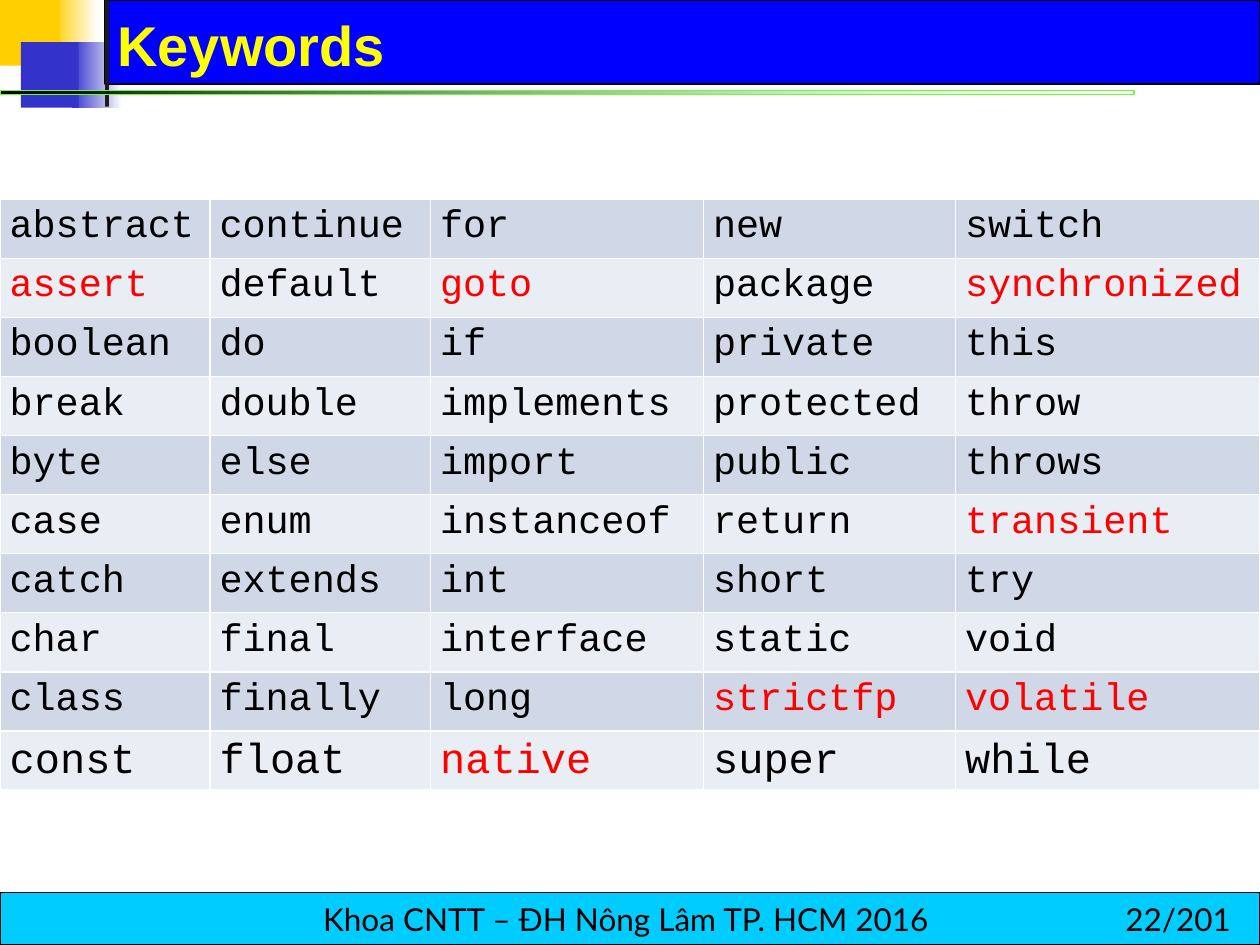
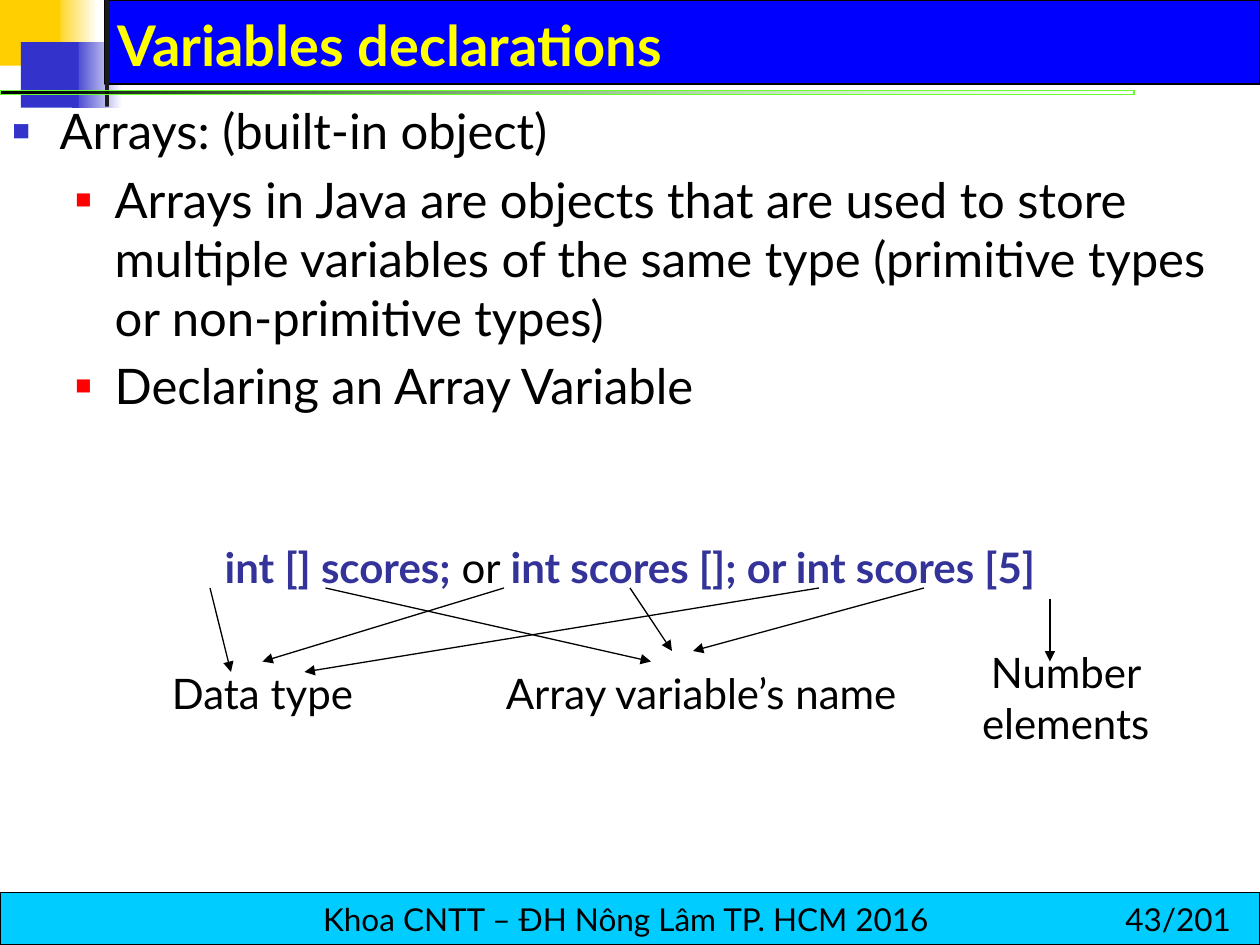
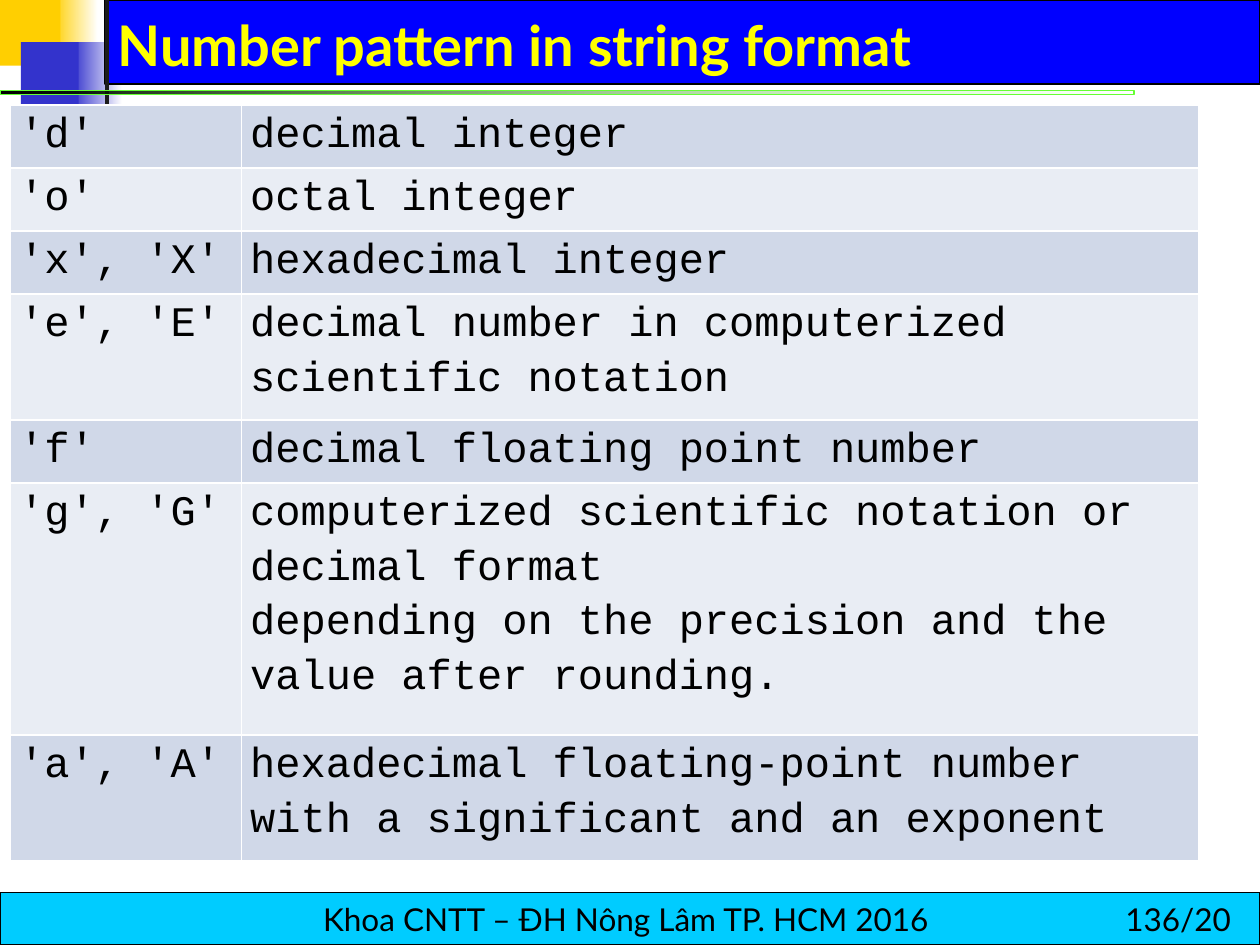
from lxml import etree
from pptx import Presentation
from pptx import util as u
from pptx.dml.color import RGBColor
from pptx.enum import shapes, text
from pptx.oxml import ns

Pt = u.Pt


class Theme:
    black, white, red = "000000", "FFFFFF", "FF0000"
    gold, indigo, dark, green = "FFCF01", "3333CC", "1C1C1C", "66FF33"
    band, title, footer, code = "0000FF", "FFFF00", "00CCFF", "333399"
    rows = ("D0D8E8", "E9EDF4")
    sans, heading, mono = "Lato", "Arial", "Courier New"
    title_size, body_size, label_size, footer_size = 32, 28, 24, 18
    mono_size, mono_small = 24, 22
    thin, border = 0.75, 1


# ---- Content ----
FOOTER = "Khoa CNTT – ĐH Nông Lâm TP. HCM 2016 "
TOTAL = 201

KEYWORDS = [
    "abstract continue for new switch",
    "assert default goto package synchronized",
    "boolean do if private this",
    "break double implements protected throw",
    "byte else import public throws",
    "case enum instanceof return transient",
    "catch extends int short try",
    "char final interface static void",
    "class finally long strictfp volatile",
    "const float native super while",
]
RED_KEYWORDS = {"assert", "goto", "synchronized", "transient", "strictfp",
                "volatile", "native"}

BULLETS = [
    (0, "Arrays: (built-in object)"),
    (1, "Arrays in Java are objects that are used to store multiple variables "
        "of the same type (primitive types or non-primitive types)"),
    (1, "Declaring an Array Variable"),
]
# level: left margin, hanging indent, bullet colour, bullet size in percent
LEVELS = [(27, 27, Theme.indigo, 60), (58.5, 22.5, Theme.red, 55)]

DECLARATION = [
    ("int [] scores;", Theme.code, True),
    (" or ", Theme.black, False),
    ("int scores []; or int scores [5]", Theme.code, True),
]
LABELS = [
    ("Data type", (66, 378, 168, 36), "CENTER"),
    ("Array variable’s name", (282, 378, 252, 36), "LEFT"),
    ("Number elements", (522, 366, 174, 65), "CENTER"),
]
# start x, start y, end x, end y
ARROWS = [
    (120, 336, 132, 384), (288, 336, 150, 378), (186, 336, 372, 378),
    (468, 336, 174, 384), (360, 336, 384, 372), (528, 336, 396, 372),
    (600, 342, 600, 378),
]
JOINED = 1  # this arrow ends at the top middle of "Data type"

PATTERNS = [
    ("'d'", "decimal integer", 36),
    ("'o'", "octal integer", 36),
    ("'x', 'X'", "hexadecimal integer", 36),
    ("'e', 'E'", "decimal number in computerized scientific notation", 72),
    ("'f'", "decimal floating point number", 36),
    ("'g', 'G'", "computerized scientific notation or decimal format\n"
                 "depending on the precision and the value after rounding.", 144),
    ("'a', 'A'", "hexadecimal floating-point number with a significant "
                 "and an exponent", 72),
]

# Decoration: box, fill (a pair is a gradient), outline
DECOR = [
    ((30, 0, 26, 37.5), (Theme.gold, Theme.white), None),
    ((41, 24, 29, 37.5), (Theme.indigo, Theme.white), None),
    ((60, 0, 660, 48), Theme.band, (Theme.black, Theme.thin)),
    ((0, 0, 34.5, 37.5), Theme.gold, None),
    ((12, 24, 33, 37.5), Theme.indigo, None),
    ((60, 0, 2.25, 61), Theme.dark, None),
    ((0, 51.75, 648, 2.25), (Theme.black, Theme.green), (Theme.green, 0)),
    ((0, 510, 720, 30), Theme.footer, (Theme.black, Theme.thin)),
]


# ---- Helpers ----
def assign(obj, **values):
    for name, value in values.items():
        setattr(obj, name, value)


def rgb(color):
    return RGBColor.from_string(color)


def child(parent, tag, **attrs):
    e = etree.SubElement(parent, ns.qn("a:" + tag))
    for name, value in attrs.items():
        e.set(name, str(value))
    return e


def add_run(p, string, size, color=Theme.black, font=Theme.sans, bold=False):
    r = p.add_run()
    r.text = string
    assign(r.font, size=Pt(size), name=font, bold=bold)
    r.font.color.rgb = rgb(color)


def add_box(s, box, align="LEFT", anchor="TOP"):
    tf = s.shapes.add_textbox(*map(Pt, box)).text_frame
    assign(tf, word_wrap=True, vertical_anchor=text.MSO_ANCHOR[anchor])
    tf.paragraphs[0].alignment = text.PP_ALIGN[align]
    return tf


def add_rect(s, box, fill, outline):
    sp = s.shapes.add_shape(shapes.MSO_SHAPE.RECTANGLE, *map(Pt, box))
    sp.shadow.inherit = False
    if isinstance(fill, tuple):
        sp.fill.gradient()
        sp.fill.gradient_angle = 0
        for stop, color, at in zip(sp.fill.gradient_stops, fill, (0, 1)):
            stop.color.rgb = rgb(color)
            stop.position = at
    else:
        sp.fill.solid()
        sp.fill.fore_color.rgb = rgb(fill)
    if outline:
        color, width = outline
        sp.line.color.rgb = rgb(color)
        sp.line.width = Pt(width)
    else:
        sp.line.fill.background()
    return sp


def add_grid(s, left, top, widths, heights, rows, margin, style):
    """Banded table; style(row, word) gives the size and colour of a cell."""
    t = s.shapes.add_table(len(rows), len(widths), Pt(left), Pt(top),
                           Pt(sum(widths)), Pt(sum(heights))).table
    assign(t, first_row=False, horz_banding=False)
    for col, width in zip(t.columns, widths):
        col.width = Pt(width)
    for i, row in enumerate(rows):
        t.rows[i].height = Pt(heights[i])
        for j, string in enumerate(row):
            c = t.cell(i, j)
            assign(c, margin_left=Pt(margin), margin_right=Pt(margin),
                   margin_top=0, margin_bottom=0)
            for side in "LRTB":
                ln = child(c._tc.get_or_add_tcPr(), "ln" + side,
                           w=Pt(Theme.border))
                child(child(ln, "solidFill"), "srgbClr", val=Theme.white)
            c.fill.solid()
            c.fill.fore_color.rgb = rgb(Theme.rows[i % 2])
            size, color = style(i, string)
            for k, line in enumerate(string.split("\n")):
                tf = c.text_frame
                p = tf.add_paragraph() if k else tf.paragraphs[0]
                p.line_spacing = 1.15
                add_run(p, line, size, color, Theme.mono)


def add_arrow(s, x1, y1, x2, y2):
    cn = s.shapes.add_connector(shapes.MSO_CONNECTOR.STRAIGHT,
                                *map(Pt, (x1, y1, x2, y2)))
    cn.line.color.rgb = rgb(Theme.black)
    cn.line.width = Pt(Theme.thin)
    child(cn.line._get_or_add_ln(), "tailEnd", type="triangle")
    child(cn._element.spPr, "effectLst")
    return cn


def new_slide(prs, title, page, font=Theme.sans):
    s = prs.slides.add_slide(prs.slide_layouts[6])
    sps = [add_rect(s, *part) for part in DECOR]
    # The underline fades out to the right
    stripe, footer = sps[-2:]
    fade = list(stripe._element.spPr.iter(ns.qn("a:gs")))[-1][0]
    child(fade, "alpha", val=0)
    # Footer and page number
    tf = footer.text_frame
    assign(tf, word_wrap=False, vertical_anchor=text.MSO_ANCHOR.MIDDLE)
    tf.paragraphs[0].alignment = text.PP_ALIGN.CENTER
    add_run(tf.paragraphs[0], FOOTER, Theme.footer_size)
    tf = add_box(s, (636, 511, 84, 29))
    add_run(tf.paragraphs[0], f"{page}/{TOTAL}", Theme.footer_size)
    # Title
    tf = add_box(s, (60, 6, 644, 42), anchor="BOTTOM")
    add_run(tf.paragraphs[0], title, Theme.title_size, Theme.title, font, True)
    return s


# ---- Slides ----
def keywords_slide(prs):
    s = new_slide(prs, "Keywords", 22, Theme.heading)
    rows = [line.split() for line in KEYWORDS]
    last = len(rows) - 1

    def style(i, word):
        return (Theme.mono_size if i == last else Theme.mono_small,
                Theme.red if word in RED_KEYWORDS else Theme.black)

    add_grid(s, 0, 114, (120, 126, 156, 144, 174), [33.75] * len(rows),
             rows, 5.5, style)


def arrays_slide(prs):
    s = new_slide(prs, "Variables declarations", 43)
    # Bulleted text
    tf = add_box(s, (0, 54, 720, 450))
    for i, (level, string) in enumerate(BULLETS):
        p = tf.add_paragraph() if i else tf.paragraphs[0]
        assign(p, level=level, space_before=Pt(5.6 if i else 0))
        margin, hang, color, percent = LEVELS[level]
        pPr = p._p.get_or_add_pPr()
        pPr.set("marL", str(Pt(margin)))
        pPr.set("indent", str(-Pt(hang)))
        child(child(pPr, "buClr"), "srgbClr", val=color)
        child(pPr, "buSzPct", val=percent * 1000)
        child(pPr, "buFont", typeface=Theme.heading)
        child(pPr, "buChar", char="■")
        add_run(p, string, Theme.body_size)
    # Declaration and its labels
    p = add_box(s, (72, 306, 576, 36), "CENTER").paragraphs[0]
    for string, color, bold in DECLARATION:
        add_run(p, string, Theme.label_size, color, bold=bold)
    for string, box, align in LABELS:
        tf = add_box(s, box, align)
        add_run(tf.paragraphs[0], string, Theme.label_size)
        if string == "Data type":
            data_type = s.shapes[-1]
    # Arrows from the declaration to the labels
    arrows = [add_arrow(s, *ends) for ends in ARROWS]
    arrows[JOINED].end_connect(data_type, 0)


def patterns_slide(prs):
    s = new_slide(prs, "Number pattern in string format", 136)
    add_grid(s, 6, 60, (132, 547), [h for *_, h in PATTERNS],
             [row[:2] for row in PATTERNS], 5,
             lambda i, word: (Theme.mono_size, Theme.black))


def main():
    prs = Presentation()
    assign(prs, slide_width=Pt(720), slide_height=Pt(540))
    keywords_slide(prs)
    arrays_slide(prs)
    patterns_slide(prs)
    prs.save("out.pptx")


if __name__ == "__main__":
    main()
